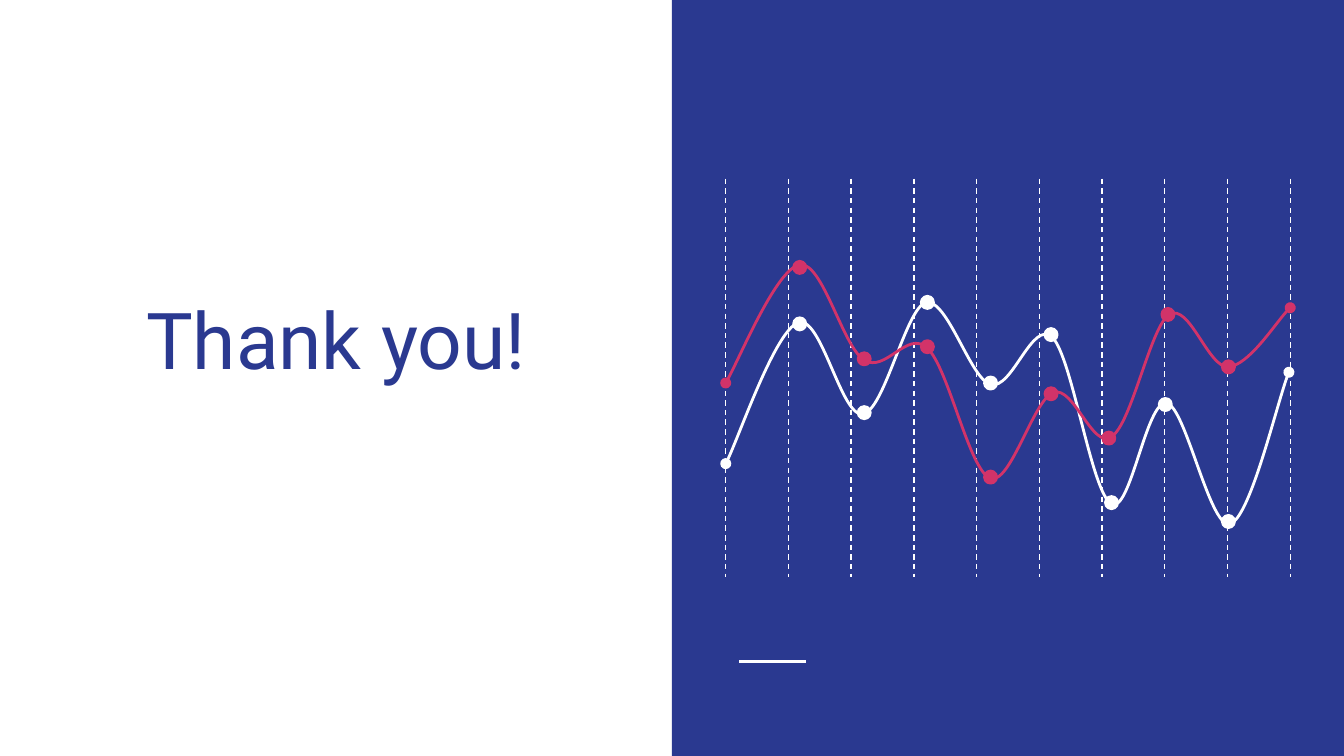
from lxml.etree import SubElement
from pptx import Presentation
from pptx.dml.color import RGBColor
from pptx.enum.dml import MSO_LINE
from pptx.enum.shapes import MSO_CONNECTOR, MSO_SHAPE
from pptx.enum.text import MSO_ANCHOR, MSO_AUTO_SIZE, PP_ALIGN
from pptx.oxml.ns import qn
from pptx.util import Inches, Pt

COLORS = {"blue": "2A3990", "white": "FFFFFF", "red": "D23369"}
COLUMNS, ROWS = 100, 56.25
CELL = Inches(10) / COLUMNS
GUIDES = 10
DOT = 0.9

WHITE_CURVE = [
    (0, 21.2),
    (0.9, 19.5), (3.7, 11.3), (5.4, 10.7),
    (7.1, 10.1), (8.6, 17.8), (10.2, 17.5),
    (11.8, 17.3), (13.4, 9.6), (14.9, 9.2),
    (16.5, 8.9), (18.2, 14.9), (19.7, 15.3),
    (21.3, 15.8), (22.8, 10.4), (24.3, 11.8),
    (25.8, 13.3), (27.2, 23.4), (28.7, 24.2),
    (30.1, 25), (31.3, 16.4), (32.8, 16.7),
    (34.2, 16.9), (36, 26), (37.5, 25.7),
    (39, 25.3), (41.1, 16.3), (41.9, 14.4),
]
WHITE_DOTS = [(5.5, 10.8), (10.3, 17.4), (15, 9.2), (19.7, 15.2),
              (24.2, 11.6), (28.7, 24.1), (32.7, 16.8), (37.4, 25.5)]
RED_CURVE = [
    (0, 15.2),
    (0.9, 13.7), (3.8, 6.7), (5.5, 6.4),
    (7.2, 6.1), (8.7, 12.5), (10.3, 13.5),
    (11.9, 14.5), (13.5, 11.2), (15, 12.6),
    (16.6, 14.1), (18.1, 21.7), (19.7, 22.3),
    (21.2, 22.8), (22.9, 16.4), (24.4, 15.9),
    (25.9, 15.4), (27.3, 20.2), (28.7, 19.2),
    (30.2, 18.3), (31.6, 11), (33, 10.1),
    (34.5, 9.2), (35.9, 14.1), (37.4, 14),
    (38.9, 13.9), (41.2, 10.3), (42, 9.6),
]
RED_DOTS = [(5.5, 6.6), (10.3, 13.4), (15, 12.5), (19.7, 22.2),
            (24.2, 16), (28.5, 19.3), (32.9, 10.1), (37.4, 14)]


def cells(*lengths):
    """Turn lengths in grid cells into EMU."""
    return [round(length * CELL) for length in lengths]


def color(name):
    """Look up a colour by name."""
    return RGBColor.from_string(COLORS[name])


def add_line(shapes, ends, width, dashed=False):
    """Draw a white straight line between two grid points."""
    line = shapes.add_connector(MSO_CONNECTOR.STRAIGHT, *cells(*ends))
    line.line.color.rgb = color("white")
    line.line.width = Pt(width)
    if dashed:
        line.line.dash_style = MSO_LINE.DASH
    SubElement(line._element.spPr, qn("a:effectLst"))


def add_filled(shapes, kind, box, name):
    """Draw a preset shape filled with one colour."""
    shape = shapes.add_shape(kind, *cells(*box))
    shape.shadow.inherit = False
    shape.fill.solid()
    shape.fill.fore_color.rgb = color(name)
    shape.line.fill.background()
    return shape


def outline(shape, name):
    """Give a shape its series outline."""
    shape.line.color.rgb = color(name)
    shape.line.width = Pt(1.5)


def add_curve(shapes, points, name):
    """Draw an open Bezier curve with round ends."""
    start, *rest = [cells(*point) for point in points]
    builder = shapes.build_freeform(*start)
    builder.add_line_segments(rest, close=False)
    curve = builder.convert_to_shape()
    curve.shadow.inherit = False
    curve.fill.background()
    outline(curve, name)
    segments = list(curve._element.iter(qn("a:lnTo")))
    for first in range(0, len(segments), 3):
        bezier = SubElement(segments[first].getparent(), qn("a:cubicBezTo"))
        for segment in segments[first:first + 3]:
            bezier.append(segment[0])
            segment.getparent().remove(segment)
    for end in ("a:headEnd", "a:tailEnd"):
        SubElement(curve.line._get_or_add_ln(), qn(end), type="oval")


def add_series(slide, box, points, dots, name):
    """Group a curve with its markers, placed from the corner of the box."""
    left, top = box[:2]
    shapes = slide.shapes.add_group_shape().shapes
    add_curve(shapes, [(left + x, top + y) for x, y in points], name)
    for x, y in dots:
        corner = (left + x - DOT / 2, top + y - DOT / 2)
        outline(add_filled(shapes, MSO_SHAPE.OVAL, (*corner, DOT, DOT), name), name)


def add_guides(slide, box):
    """Spread dashed vertical guides evenly across the box."""
    left, top, width, height = box
    shapes = slide.shapes.add_group_shape().shapes
    for index in range(GUIDES):
        x = left + index * width / (GUIDES - 1)
        add_line(shapes, (x, top, x, top + height), 0.75, dashed=True)


def add_panel(slide, box):
    """Fill the panel and set a short rule near its foot."""
    left, top, width, height = box
    add_filled(slide.shapes, MSO_SHAPE.RECTANGLE, box, "blue")
    x, y = left + width * 0.1, top + height * 0.875
    add_line(slide.shapes, (x, y, x + width * 0.1, y), 1.5)


def add_title(slide, box):
    """Place the closing words in the title placeholder."""
    title = slide.shapes.title
    title.left, title.top, title.width, title.height = cells(*box)
    frame = title.text_frame
    frame.text = "Thank you!"
    frame.word_wrap = True
    frame.auto_size = MSO_AUTO_SIZE.NONE
    frame.vertical_anchor = MSO_ANCHOR.BOTTOM
    frame.margin_left = frame.margin_right = Inches(0.1)
    frame.margin_top = frame.margin_bottom = Inches(0.1)
    paragraph = frame.paragraphs[0]
    paragraph.alignment = PP_ALIGN.CENTER
    paragraph.line_spacing = 1.0
    paragraph.font.name = "Roboto"
    paragraph.font.size = Pt(42)
    paragraph.font.color.rgb = color("blue")


def main():
    """Build and save the closing slide."""
    presentation = Presentation()
    presentation.slide_width, presentation.slide_height = cells(COLUMNS, ROWS)
    slide = presentation.slides.add_slide(presentation.slide_layouts[5])
    graph = (54, 13.3, 42, 29.6)
    add_panel(slide, (COLUMNS / 2, 0, COLUMNS / 2, ROWS))
    add_guides(slide, graph)
    add_title(slide, (2.9, 12.6, 44.2, 17.1))
    add_series(slide, graph, WHITE_CURVE, WHITE_DOTS, "white")
    add_series(slide, graph, RED_CURVE, RED_DOTS, "red")
    presentation.save("out.pptx")


if __name__ == "__main__":
    main()
